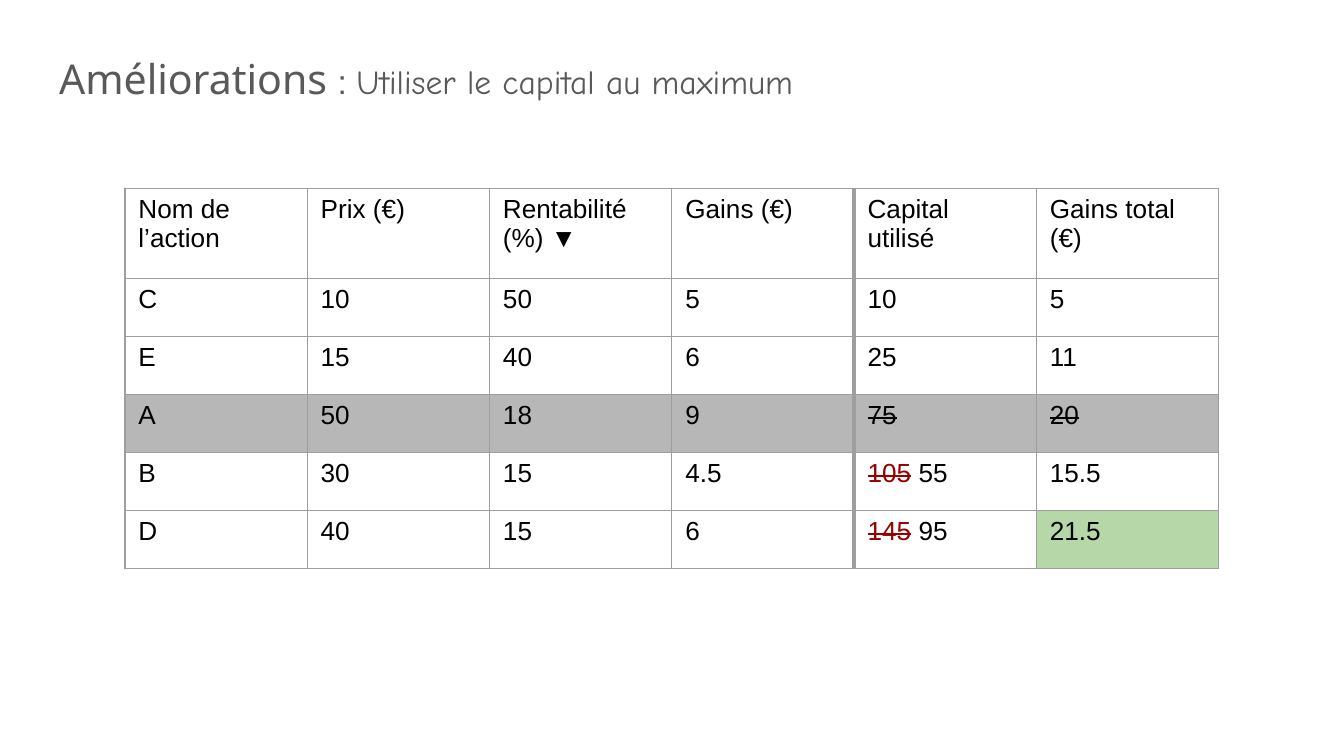
from lxml.etree import SubElement
from pptx import Presentation
from pptx.dml.color import RGBColor
from pptx.enum.text import MSO_ANCHOR, MSO_AUTO_SIZE, PP_ALIGN
from pptx.oxml.ns import qn
from pptx.util import Inches, Pt

HEX = {"text": "000000", "title": "595959", "line": "9E9E9E",
       "skip": "B7B7B7", "best": "B6D7A8", "over": "980000"}
TITLE = [("Améliorations ", "Noto Sans", 22), (": ", "Arial", 18),
         ("Utiliser le capital au maximum", "Comic Neue", 18)]
ROWS = [
    ["Nom de l’action", "Prix (€)", "Rentabilité (%) ▼", "Gains (€)",
     "Capital utilisé", "Gains total (€)"],
    ["C", "10", "50", "5", "10", "5"],
    ["E", "15", "40", "6", "25", "11"],
    ["A", "50", "18", "9", "75", "20"],
    ["B", "30", "15", "4.5", " 55", "15.5"],
    ["D", "40", "15", "6", " 95", "21.5"],
]
OVER = {(4, 4): "105", (5, 4): "145"}
STRUCK = {(3, 4), (3, 5)}
FILLS = {(3, col): "skip" for col in range(6)} | {(5, 5): "best"}
LEFT, TOP, WIDTH, HEIGHT = 0.93, 1.4, 8.14, 2.83
HEAD = 0.67
THIN, THICK = 0.75, 2.21
SPLIT = 4


def color(name):
    return RGBColor.from_string(HEX[name])


def add_run(para, text, face, size, tint, struck=False):
    run = para.add_run()
    run.text = text
    run.font.name, run.font.size = face, Pt(size)
    run.font.color.rgb = color(tint)
    if struck:
        run._r.get_or_add_rPr().set("strike", "sngStrike")


def add_edges(cell, col):
    props = cell._tc.get_or_add_tcPr()
    wide = {"L": col == SPLIT, "R": col == SPLIT - 1}
    for side in "LRTB":
        width = THICK if wide.get(side) else THIN
        line = SubElement(props, qn(f"a:ln{side}"), w=str(Pt(width)))
        fill = SubElement(line, qn("a:solidFill"))
        SubElement(fill, qn("a:srgbClr"), val=HEX["line"])


def fill_cell(cell, row, col):
    spot = row, col
    add_edges(cell, col)
    if spot in FILLS:
        cell.fill.solid()
        cell.fill.fore_color.rgb = color(FILLS[spot])
    else:
        cell.fill.background()
    cell.margin_left = cell.margin_right = Inches(0.1)
    cell.margin_top = cell.margin_bottom = Inches(0.05)
    para = cell.text_frame.paragraphs[0]
    if spot in OVER:
        add_run(para, OVER[spot], "Arial", 14, "over", True)
    add_run(para, ROWS[row][col], "Arial", 14, "text", spot in STRUCK)


def add_title(slide):
    title = slide.shapes.title
    title.left, title.top = Inches(0.34), Inches(0.24)
    title.width, title.height = Inches(9.32), Inches(0.62)
    frame = title.text_frame
    frame.word_wrap, frame.auto_size = True, MSO_AUTO_SIZE.NONE
    frame.vertical_anchor = MSO_ANCHOR.TOP
    frame.margin_left = frame.margin_right = Inches(0.1)
    frame.margin_top = frame.margin_bottom = Inches(0.1)
    para = frame.paragraphs[0]
    para.alignment, para.line_spacing = PP_ALIGN.LEFT, 1.15
    para.space_before, para.space_after = Pt(0), Pt(12)
    for text, face, size in TITLE:
        add_run(para, text, face, size, "title")


def add_grid(slide):
    count, wide = len(ROWS), len(ROWS[0])
    body = (HEIGHT - HEAD) / (count - 1)
    table = slide.shapes.add_table(
        count, wide, Inches(LEFT), Inches(TOP), Inches(WIDTH), Inches(HEIGHT)).table
    table.first_row = table.horz_banding = False
    for col in table.columns:
        col.width = Inches(WIDTH / wide)
    for row in range(count):
        table.rows[row].height = Inches(body if row else HEAD)
        for col in range(wide):
            fill_cell(table.cell(row, col), row, col)


def main():
    deck = Presentation()
    deck.slide_width = Inches(10)
    deck.slide_height = Inches(10 * 9 / 16)
    slide = deck.slides.add_slide(deck.slide_layouts[5])
    add_title(slide)
    add_grid(slide)
    deck.save("out.pptx")


if __name__ == "__main__":
    main()
